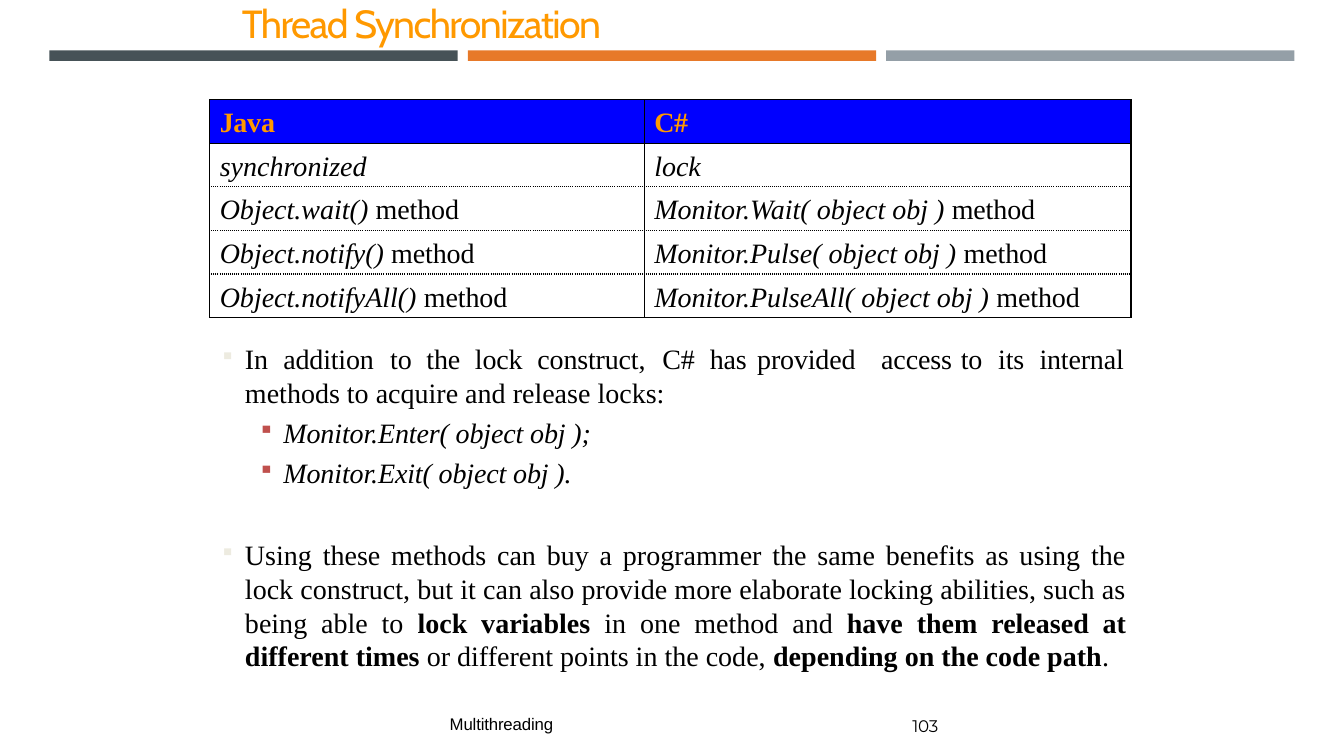
from dataclasses import dataclass

from lxml import etree
from pptx import Presentation
from pptx import util as u
from pptx.dml.color import RGBColor
from pptx.enum import shapes, text
from pptx.oxml import ns


@dataclass(frozen=True)
class Theme:
    slate: str = "465257"
    amber: str = "E77929"
    silver: str = "949FA7"
    heading: str = "FF9900"
    header_fill: str = "0000FF"
    ink: str = "000000"
    pale_bullet: str = "EDEBE0"
    red_bullet: str = "C0504D"
    heading_size: float = 28
    body_size: float = 20
    footer_size: float = 12
    serif: str = "Times New Roman"


THEME = Theme()
WIDTH, HEIGHT = u.Inches(13.33), u.Inches(7.5)
BODY_TABS = [0.26, 0.64, 1.7, 2.06, 2.54, 3.16, 4.4, 4.87, 5.34, 6.57, 7.36, 7.73, 8.14]

TABLE_ROWS = [
    ("synchronized", "", "lock", ""),
    ("Object.wait() ", "method", "Monitor.Wait( object obj ) ", "method"),
    ("Object.notify() ", "method", "Monitor.Pulse( object obj ) ", "method"),
    ("Object.notifyAll() ", "method", "Monitor.PulseAll( object obj ) ", "method"),
]
CLOSING = [
    ("Using these methods can buy a programmer the same benefits as using the "
     "lock construct, but it can also provide more elaborate locking abilities, "
     "such as being able to ", {}),
    ("lock variables ", {"bold": True}),
    ("in one method and ", {}),
    ("have them released at different times ", {"bold": True}),
    ("or different points in the code, ", {}),
    ("depending on the code path", {"bold": True}),
    (".", {}),
]


def across(columns):
    return round(WIDTH * columns / 100)


def down(rows):
    return round(HEIGHT * rows / 100)


def child(parent, tag, **values):
    return etree.SubElement(parent, ns.qn(tag), values)


def apply(target, values):
    for name, value in values.items():
        setattr(target, name, value)


def add_span(para, words, color=THEME.ink, spacing=0, **values):
    span = para.add_run()
    span.text = words
    apply(span.font, {"name": THEME.serif, "size": u.Pt(THEME.body_size), **values})
    span.font.color.rgb = RGBColor.from_string(color)
    if spacing:
        span.font._element.set("spc", str(round(spacing * 100)))


def add_bar(page, left, color):
    bar = page.shapes.add_shape(shapes.MSO_SHAPE.RECTANGLE,
                                across(left), down(6.67), across(30.38), down(1.38))
    bar.shadow.inherit = False
    bar.fill.solid()
    bar.fill.fore_color.rgb = RGBColor.from_string(color)
    bar.line.fill.background()


def add_box(page, left, top, width, height, inset):
    box = page.shapes.add_textbox(across(left), down(top), across(width), down(height))
    apply(box.text_frame, {
        "word_wrap": True, "margin_left": 0, "margin_right": 0,
        "margin_top": u.Inches(inset), "margin_bottom": 0,
        "vertical_anchor": text.MSO_ANCHOR.TOP,
    })
    return box.text_frame


def add_label(page, place, words, inset=0.0, **values):
    add_span(add_box(page, *place, inset).paragraphs[0], words, **values)


def add_border(cell, edge, dash):
    line = child(cell._tc.get_or_add_tcPr(), f"a:{edge}", w="12700")
    child(child(line, "a:solidFill"), "a:srgbClr", val=THEME.ink)
    child(line, "a:prstDash", val=dash)


def format_cell(cell, row, last_row):
    apply(cell, {"margin_left": u.Inches(0.1), "margin_right": 0,
                 "margin_top": u.Inches(0.08), "margin_bottom": 0})
    dashes = {"lnL": "solid", "lnR": "solid",
              "lnT": "solid" if row < 2 else "sysDot",
              "lnB": "solid" if row in (0, last_row) else "sysDot"}
    for edge, dash in dashes.items():
        add_border(cell, edge, dash)
    if row == 0:
        cell.fill.solid()
        cell.fill.fore_color.rgb = RGBColor.from_string(THEME.header_fill)
    else:
        cell.fill.background()


def add_comparison(page):
    widths, row_height = (32.33, 36.23), 5.76
    count = len(TABLE_ROWS) + 1
    table = page.shapes.add_table(count, 2, across(15.6), down(13.2),
                                  across(sum(widths)), down(row_height * count)).table
    apply(table, {"first_row": False, "horz_banding": False})
    for column, width in zip(table.columns, widths):
        column.width = across(width)
    for index, row in enumerate(table.rows):
        row.height = down(row_height)
        for cell in row.cells:
            format_cell(cell, index, count - 1)
    for index, name in enumerate(("Java", "C#")):
        add_span(table.cell(0, index).text_frame.paragraphs[0], name,
                 color=THEME.heading, bold=True, spacing=-0.2)
    for index, entry in enumerate(TABLE_ROWS, 1):
        for column in range(2):
            para = table.cell(index, column).text_frame.paragraphs[0]
            call, suffix = entry[2 * column:2 * column + 2]
            add_span(para, call, italic=True)
            if suffix:
                add_span(para, suffix, spacing=-0.1)


def add_bullet(para, color, percent, tabs):
    props = para._p.get_or_add_pPr()
    child(child(props, "a:buClr"), "a:srgbClr", val=color)
    child(props, "a:buSzPct", val=str(percent * 1000))
    child(props, "a:buChar", char="▪")
    stops = child(props, "a:tabLst")
    for stop in tabs:
        child(stops, "a:tab", pos=str(u.Inches(stop)), algn="l")


def add_item(frame, spans, margin=0.26, bullet=None, **values):
    first = frame.paragraphs[0]
    para = frame.add_paragraph() if first.runs else first
    props = para._p.get_or_add_pPr()
    props.set("marL", str(u.Inches(margin)))
    props.set("indent", str(u.Inches(-0.25 if bullet else 0)))
    if bullet:
        add_bullet(para, *bullet)
    apply(para, {"line_spacing": u.Pt(24), **values})
    for words, style in spans:
        add_span(para, words, **style)


def add_body(page):
    frame = add_box(page, 16.28, 44.8, 67.52, 44, 0.03)
    opening = "In addition to the lock construct, C# has provided access to its internal"
    add_item(frame, [("\t".join(opening.split()), {"spacing": -0.15})],
             bullet=(THEME.pale_bullet, 75, BODY_TABS))
    add_item(frame, [("methods to acquire and release locks:", {})])
    for call in ("Monitor.Enter( object obj );", "Monitor.Exit( object obj )."):
        add_item(frame, [(call, {"italic": True, "spacing": -0.1})], margin=0.64,
                 bullet=(THEME.red_bullet, 80, [0.64]), level=1, space_before=u.Pt(4.8))
    add_item(frame, CLOSING, bullet=(THEME.pale_bullet, 75, [0.26]),
             alignment=text.PP_ALIGN.JUSTIFY, space_before=u.Pt(34.6))


def main():
    deck = Presentation()
    apply(deck, {"slide_width": WIDTH, "slide_height": HEIGHT})
    page = deck.slides.add_slide(deck.slide_layouts[6])
    for index, color in enumerate((THEME.slate, THEME.amber, THEME.silver)):
        add_bar(page, 3.68 + 31.13 * index, color)
    add_label(page, (18, -0.4, 57, 7.73), "Thread Synchronization", inset=0.02,
              name="Cabin", size=u.Pt(THEME.heading_size), color=THEME.heading, spacing=-1.1)
    footer = {"size": u.Pt(THEME.footer_size)}
    add_label(page, (67.89, 93.87, 3, 3.47), "103", inset=0.06,
              name="Montserrat", spacing=-0.2, **footer)
    add_label(page, (33.46, 94.4, 8.03, 2.8), "Multithreading",
              name="Arial", spacing=-0.1, **footer)
    add_comparison(page)
    add_body(page)
    deck.save("out.pptx")


if __name__ == "__main__":
    main()
